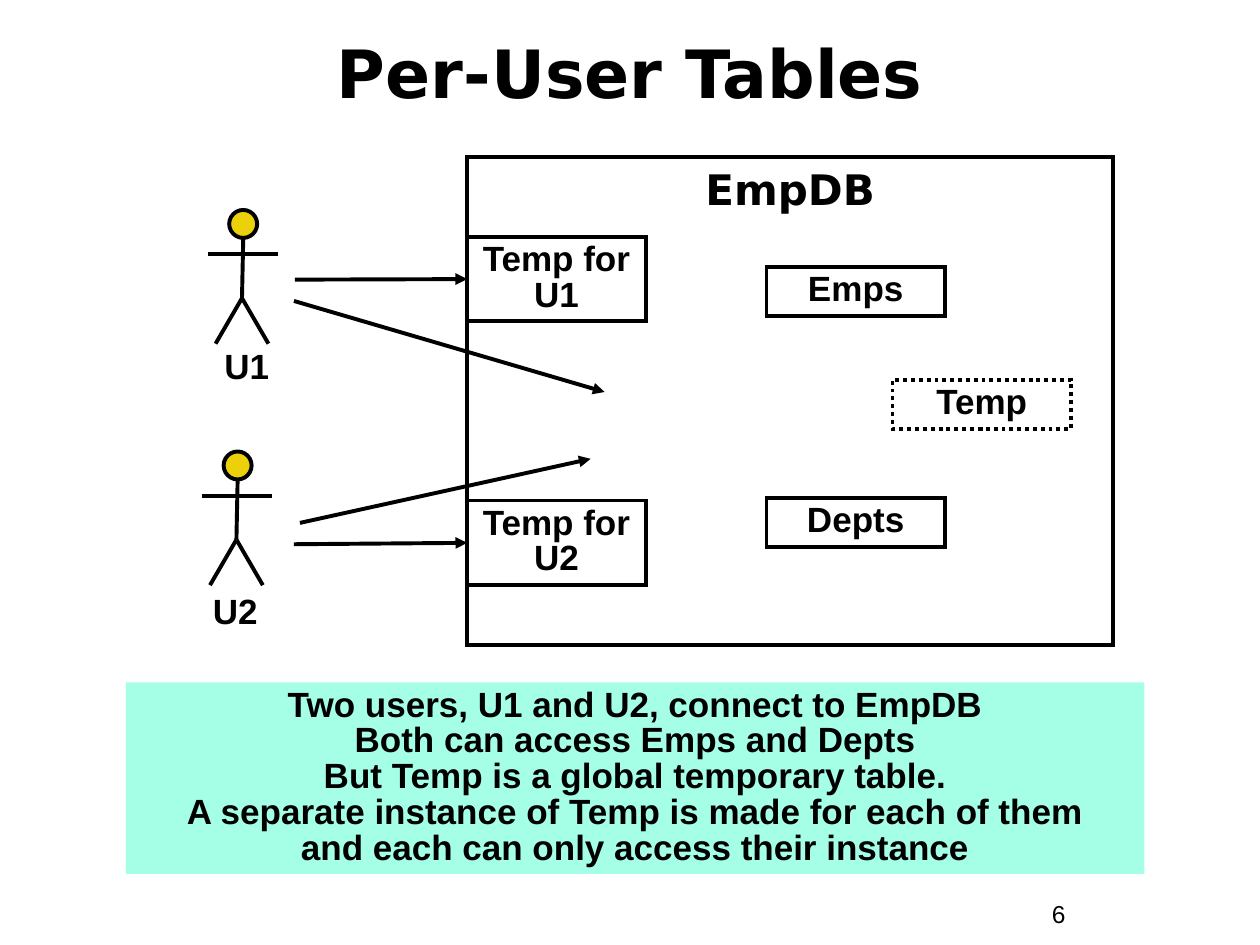
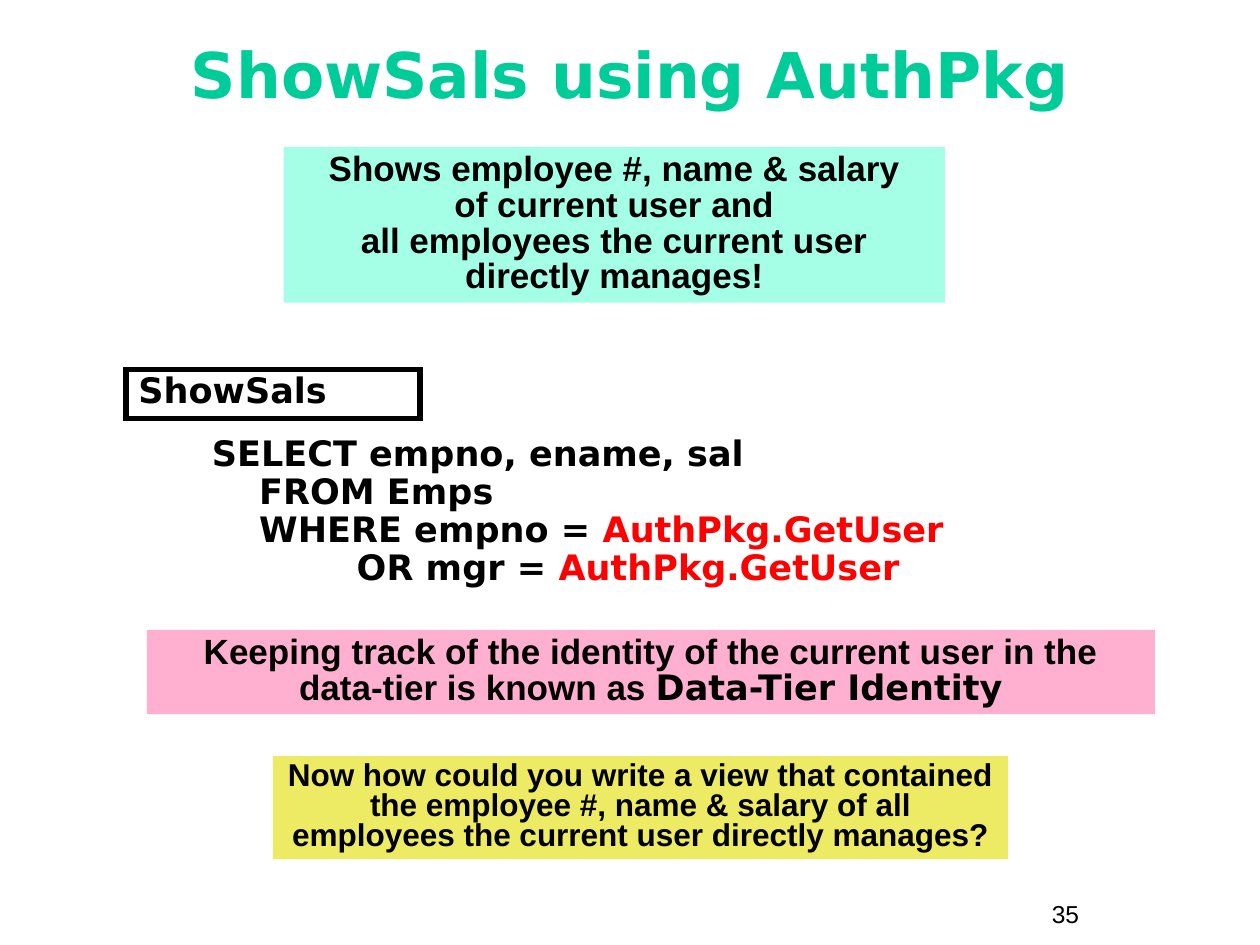
import pptx
import pptx.util
import pptx.dml.color
import pptx.enum.dml
import pptx.enum.shapes
import pptx.enum.text
from lxml import etree
from pptx.oxml.ns import qn

Pt = pptx.util.Pt
RGB = pptx.dml.color.RGBColor
Kind = pptx.enum.shapes.MSO_SHAPE
Align = pptx.enum.text.PP_ALIGN
Anchor = pptx.enum.text.MSO_ANCHOR

BLACK = RGB(0x00, 0x00, 0x00)
RED = RGB(0xFF, 0x00, 0x00)
GREEN = RGB(0x00, 0xCC, 0x99)
GOLD = RGB(0xEC, 0xD1, 0x0A)
MINT = RGB(0xA5, 0xFF, 0xE7)
PINK = RGB(0xFF, 0xAF, 0xCF)
YELLOW = RGB(0xED, 0xEA, 0x63)

SANS = "Arial"
WIDE = "DejaVu Sans"


def put(obj, vals):
    for name, val in vals.items():
        setattr(obj, name, val)


class Deck:
    frame = dict(margin_left=Pt(7.2), margin_right=Pt(7.2),
                 margin_top=Pt(3.6), margin_bottom=Pt(3.6),
                 auto_size=pptx.enum.text.MSO_AUTO_SIZE.NONE)
    stroke = 2.25

    def __init__(self):
        self.prs = pptx.Presentation()
        put(self.prs, dict(slide_width=Pt(720), slide_height=Pt(540)))

    def page(self, title, number, top, height, size, color=BLACK, gap=1.0):
        """Start a slide with its title and page number."""
        self.slide = self.prs.slides.add_slide(self.prs.slide_layouts[5])
        self.shapes = self.slide.shapes
        head = self.shapes.title
        put(head, dict(left=Pt(24), top=Pt(top), width=Pt(672), height=Pt(height)))
        self.letter(head, title, size=size, font=WIDE, color=color, gap=gap,
                    anchor=Anchor.MIDDLE)
        self.label(number, 594, 510, 66, 24, size=14, bold=False,
                   align=Align.LEFT, gap=1.0)

    def letter(self, shape, runs, size=20, font=SANS, color=BLACK, bold=True,
               align=Align.CENTER, gap=0.85, anchor=Anchor.TOP, wrap=True, hang=0):
        """Fill a shape with runs: a string, or (text, changes) pairs."""
        frame = shape.text_frame
        put(frame, dict(self.frame, word_wrap=wrap, vertical_anchor=anchor))
        para = frame.paragraphs[0]
        put(para, dict(alignment=align, line_spacing=gap, space_before=Pt(0)))
        if hang:
            props = para._p.get_or_add_pPr()
            props.set("marL", str(Pt(hang)))
            props.set("indent", str(-Pt(hang)))
        for text, diff in [(runs, {})] if isinstance(runs, str) else runs:
            for row, part in enumerate(text.split("\n")):
                if row:
                    para.add_line_break()
                if part:
                    run = para.add_run()
                    run.text = part
                    put(run.font, dict(name=diff.get("font", font),
                                       size=Pt(size), bold=bold))
                    run.font.color.rgb = diff.get("color", color)

    def label(self, text, x, y, w, h, **style):
        box = self.shapes.add_textbox(Pt(x), Pt(y), Pt(w), Pt(h))
        self.letter(box, text, **style)

    def ink(self, line, width=None):
        line.color.rgb = BLACK
        line.width = Pt(width or self.stroke)

    def shape(self, kind, x, y, w, h, fill=None, width=None, home=None):
        item = (home or self.shapes).add_shape(kind, Pt(x), Pt(y), Pt(w), Pt(h))
        item.shadow.inherit = False
        if fill is None:
            item.fill.background()
        else:
            item.fill.solid()
            item.fill.fore_color.rgb = fill
        self.ink(item.line, width)
        return item

    def box(self, text, x, y, w, h, width=None, dotted=False, **style):
        """Outlined rectangle with square corners."""
        item = self.shape(Kind.RECTANGLE, x, y, w, h, width=width)
        if dotted:
            item.line.dash_style = pptx.enum.dml.MSO_LINE.ROUND_DOT
        etree.SubElement(item.line._get_or_add_ln(), qn("a:miter"), lim="800000")
        self.letter(item, text, **style)
        return item

    def note(self, text, x, y, w, h, fill, **style):
        """Coloured panel without outline."""
        item = self.shape(Kind.RECTANGLE, x, y, w, h, fill)
        item.line.fill.background()
        self.letter(item, text, **style)

    def line(self, x1, y1, x2, y2, home=None):
        item = (home or self.shapes).add_connector(
            pptx.enum.shapes.MSO_CONNECTOR.STRAIGHT, Pt(x1), Pt(y1), Pt(x2), Pt(y2))
        self.ink(item.line)
        etree.SubElement(item._element.spPr, qn("a:effectLst"))
        return item

    def arrow(self, x1, y1, x2, y2, goal=None):
        item = self.line(x1, y1, x2, y2)
        etree.SubElement(item.line._get_or_add_ln(), qn("a:tailEnd"), type="triangle")
        if goal is not None:
            item.end_connect(goal, 1)

    def person(self, x, y):
        """Stick figure whose head has its top left corner at x, y."""
        home = self.shapes.add_group_shape().shapes
        self.shape(Kind.OVAL, x, y, 16, 16, GOLD, home=home)
        hip = x + 7.3, y + 50.4
        self.line(x + 8, y + 16.5, *hip, home)
        for foot in (-7.8, 22.4):
            self.line(x + foot, y + 76.4, *hip, home)
        self.line(x - 12.2, y + 25.2, x + 27.6, y + 25.2, home)


def users(deck):
    deck.page("Per-User Tables", "6", 9.5, 70.5, 38, gap=0.85)

    # Database and its tables
    deck.box("EmpDB", 267, 90, 369, 278.6, size=24, font=WIDE, gap=1.0, wrap=False)
    for name, x, y in (("Emps", 438, 152.5), ("Depts", 438, 284.5), ("Temp", 510, 217)):
        deck.box(name, x, y, 102, 28, dotted=name == "Temp")

    # Users, each with an own instance
    for name, x, y, tag, own, start in (
            ("U1", 131, 120, (108, 197.3), 135.3, (168.5, 159.8)),
            ("U2", 127.8, 258, (101.5, 337), 286, (168, 311))):
        deck.person(x, y)
        deck.label(name, *tag, 66, 28)
        temp = deck.box(f"Temp for {name}", 267, own, 102, 48.4)
        deck.arrow(*start, 267, own + 24.2, temp)
    deck.arrow(168, 172, 345.5, 224)
    deck.arrow(171.4, 298.8, 337.5, 262.2)

    # Explanation
    deck.note("Two users, U1 and U2, connect to EmpDB\n"
              "Both can access Emps and Depts\n"
              "But Temp is a global temporary table.\n"
              "A separate instance of Temp is made for each of them\n"
              "and each can only access their instance", 72, 390, 582, 109.4, MINT)


def sals(deck):
    deck.page("ShowSals using AuthPkg", "35", 12, 60, 36, GREEN)

    # View and its query
    deck.note("Shows employee #, name & salary\nof current user and\n"
              "all employees the current user directly manages!",
              162, 84, 378, 89, MINT)
    deck.box("ShowSals", 72, 211, 168, 28, width=3, font=WIDE, align=Align.LEFT)
    call = dict(color=RED)
    deck.label([("SELECT empno, ename, sal\nFROM Emps\nWHERE empno = ", {}),
                ("AuthPkg.GetUser\n", call),
                ("        OR mgr = ", {}),
                ("AuthPkg.GetUser", call)],
               114, 246, 528, 102, font=WIDE, align=Align.LEFT, gap=0.9, hang=27)

    # Term and question
    deck.note([("Keeping track of the identity of the current user in the "
                "data-tier is known as ", {}),
               ("Data-Tier Identity", dict(font=WIDE))], 84, 360, 576, 48.2, PINK)
    deck.note("Now how could you write a view that contained the employee #, "
              "name & salary of all employees the current user directly manages?",
              156, 432, 420, 59, YELLOW, size=18, gap=0.8)


def main():
    deck = Deck()
    users(deck)
    sals(deck)
    deck.prs.save("out.pptx")


if __name__ == "__main__":
    main()
